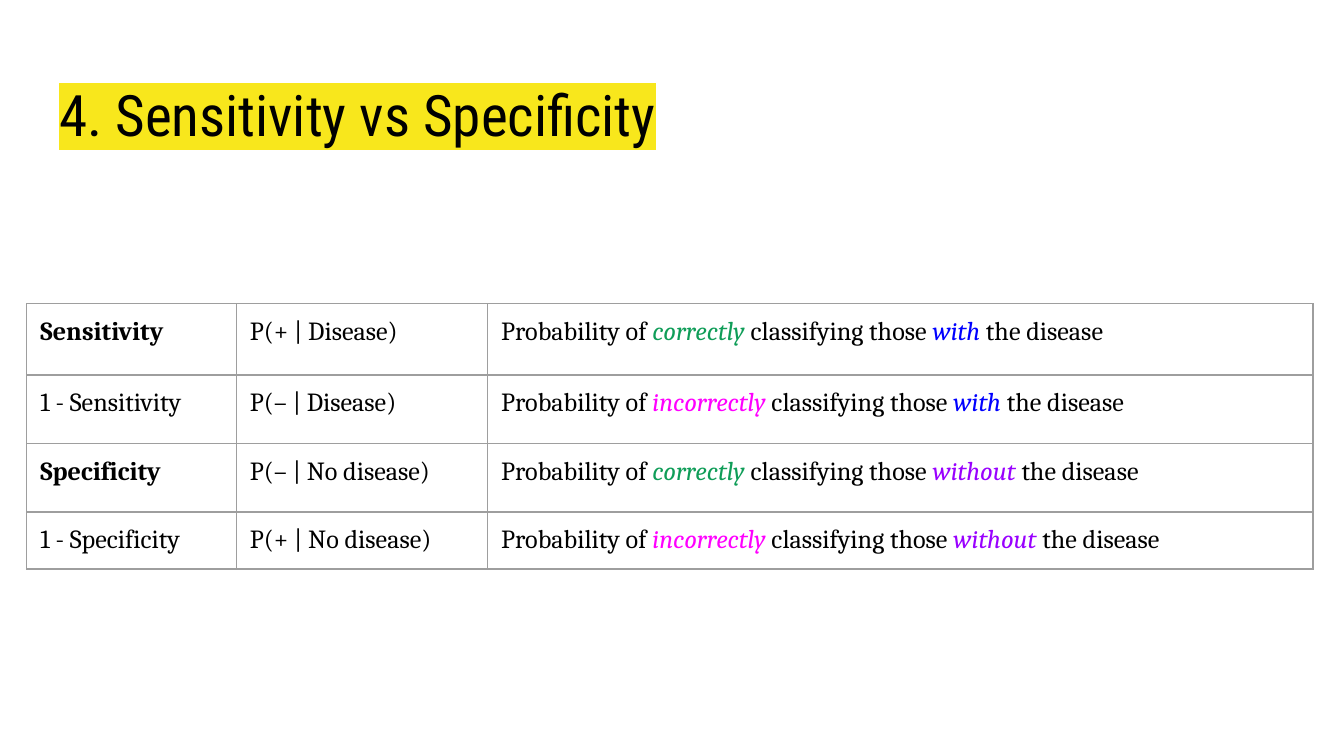
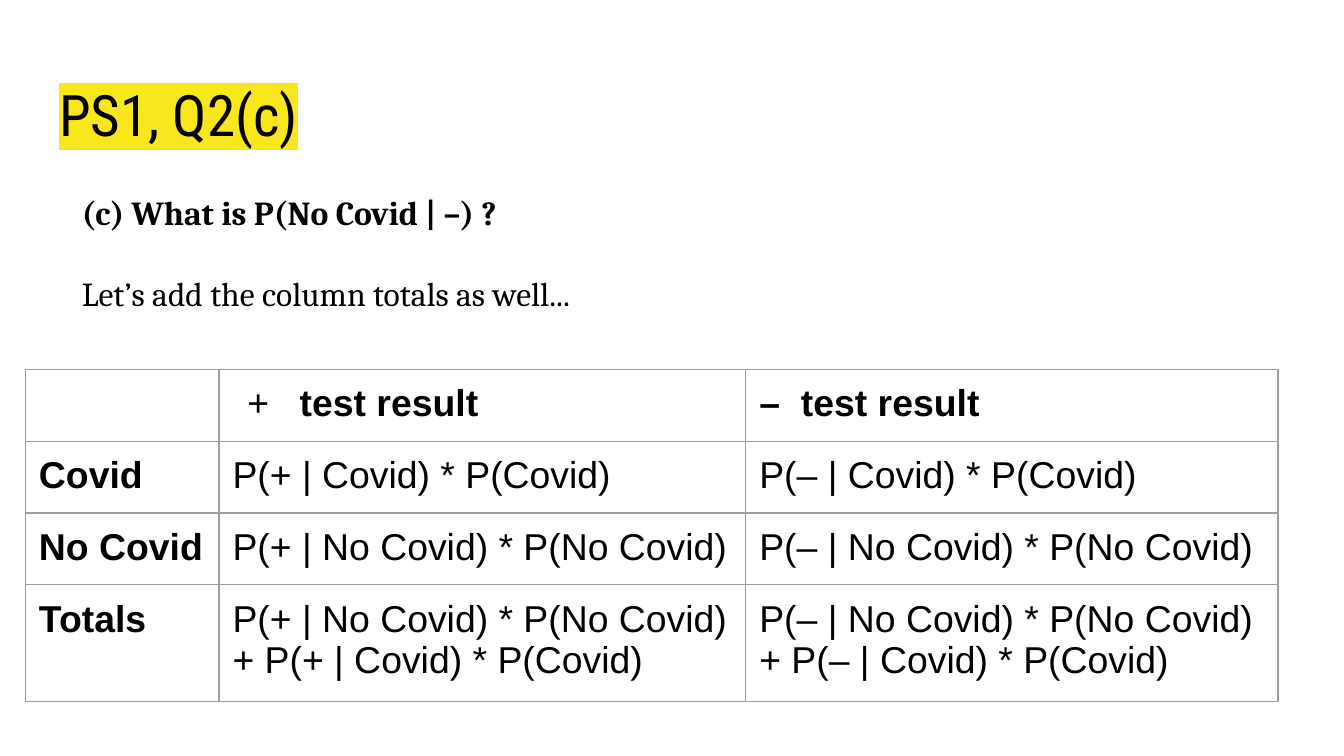
from lxml.etree import SubElement
from pptx import Presentation
from pptx.dml.color import RGBColor
from pptx.enum.text import MSO_ANCHOR, MSO_AUTO_SIZE, PP_ALIGN
from pptx.oxml import parse_xml
from pptx.oxml.ns import nsdecls, qn
from pptx.util import Inches, Pt

BLACK, YELLOW, GREY = "000000", "F8E71C", "9E9E9E"
ACCENTS = {"correctly": "0F9D58", "incorrectly": "FF00FF",
           "with": "0000FF", "without": "9900FF"}
TITLE_FONT, SERIF, SANS = "Roboto Condensed", "Cambria", "Arial"

RATES = [
    ("Sensitivity", "P(+ | Disease)", "correctly", "with"),
    ("1 - Sensitivity", "P(– | Disease)", "incorrectly", "with"),
    ("Specificity", "P(– | No disease)", "correctly", "without"),
    ("1 - Specificity", "P(+ | No disease)", "incorrectly", "without"),
]
QUESTION = [("(c) What is P(No Covid | –) ?", True, 0),
            ("Let’s add the column totals as well...", False, 21.4)]
SIGNS = ("+", "–")
JOINT_ROWS = [
    ("Covid", "P({0} | Covid) * P(Covid)"),
    ("No Covid", "P({0} | No Covid) * P(No Covid)"),
    ("Totals", "P({0} | No Covid) * P(No Covid) + P({0} | Covid) * P(Covid)"),
]


def rgb(hex_colour):
    return RGBColor.from_string(hex_colour)


def style(paragraph, font, size, bold=False):
    paragraph.font.name = font
    paragraph.font.size = Pt(size)
    paragraph.font.bold = bold
    paragraph.font.color.rgb = rgb(BLACK)


def set_margins(frame):
    frame.margin_left = frame.margin_right = Inches(0.1)
    frame.margin_top = frame.margin_bottom = Inches(0.1)


def add_titled_slide(deck, heading):
    slide = deck.slides.add_slide(deck.slide_layouts[5])
    title = slide.shapes.title
    title.left, title.top = Inches(0.34), Inches(0.49)
    title.width, title.height = Inches(9.32), Inches(0.63)
    frame = title.text_frame
    set_margins(frame)
    frame.auto_size = MSO_AUTO_SIZE.NONE
    frame.vertical_anchor = MSO_ANCHOR.TOP
    paragraph = frame.paragraphs[0]
    paragraph.alignment = PP_ALIGN.LEFT
    run = paragraph.add_run()
    run.text = heading
    style(paragraph, TITLE_FONT, 30.6)
    highlight = SubElement(run.font._element, qn("a:highlight"))
    SubElement(highlight, qn("a:srgbClr"), val=YELLOW)
    return slide


def add_grid(slide, left, top, widths, heights):
    table = slide.shapes.add_table(
        len(heights), len(widths), Inches(left), Inches(top),
        Inches(sum(widths)), Inches(sum(heights))).table
    table.first_row = table.horz_banding = False
    for column, width in zip(table.columns, widths):
        column.width = Inches(width)
    for row, height in zip(table.rows, heights):
        row.height = Inches(height)
    for cell in table.iter_cells():
        set_margins(cell)
        cell.fill.background()
        for index, side in enumerate("LRTB"):
            cell._tc.get_or_add_tcPr().insert(index, parse_xml(
                f'<a:ln{side} {nsdecls("a")} w="{Pt(0.75)}"><a:solidFill>'
                f'<a:srgbClr val="{GREY}"/></a:solidFill></a:ln{side}>'))
    return table


def fill_cell(cell, text, font, size, bold=False):
    paragraph = cell.text_frame.paragraphs[0]
    paragraph.add_run().text = text
    style(paragraph, font, size, bold)


def add_rates_slide(deck):
    slide = add_titled_slide(deck, "4. Sensitivity vs Specificity")
    table = add_grid(slide, 0.2, 2.26, [1.56, 1.87, 6.14], [0.53, 0.51, 0.51, 0.42])
    for row, (rate, formula, outcome, group) in enumerate(RATES):
        fill_cell(table.cell(row, 0), rate, SERIF, 14, not rate.startswith("1"))
        fill_cell(table.cell(row, 1), formula, SERIF, 14)
        meaning = table.cell(row, 2).text_frame.paragraphs[0]
        style(meaning, SERIF, 14)
        for part in ("Probability of ", outcome, " classifying those ", group, " the disease"):
            run = meaning.add_run()
            run.text = part
            if part in ACCENTS:
                run.font.italic = True
                run.font.color.rgb = rgb(ACCENTS[part])


def add_question(slide):
    box = slide.shapes.add_textbox(Inches(0.51), Inches(1.33), Inches(9.15), Inches(1.11))
    frame = box.text_frame
    frame.word_wrap = True
    set_margins(frame)
    for index, (line, bold, gap) in enumerate(QUESTION):
        paragraph = frame.add_paragraph() if index else frame.paragraphs[0]
        paragraph.add_run().text = line
        paragraph.space_before = Pt(gap)
        style(paragraph, SERIF, 18, bold)


def add_plus_bullet(paragraph):
    properties = paragraph._p.get_or_add_pPr()
    properties.set("marL", str(Inches(0.5)))
    properties.set("indent", str(Inches(-0.39)))
    colour = SubElement(properties, qn("a:buClr"))
    SubElement(colour, qn("a:srgbClr"), val=BLACK)
    SubElement(properties, qn("a:buFont"), typeface=SANS)
    SubElement(properties, qn("a:buChar"), char="+")


def add_tab_stop(paragraph, position):
    tabs = SubElement(paragraph._p.get_or_add_pPr(), qn("a:tabLst"))
    SubElement(tabs, qn("a:tab"), pos=str(Inches(position)), algn="l")


def add_totals_slide(deck):
    slide = add_titled_slide(deck, "PS1, Q2(c)")
    add_question(slide)
    table = add_grid(slide, 0.19, 2.75, [1.44, 3.92, 3.96], [0.53, 0.53, 0.53, 0.87])
    positive, negative = table.cell(0, 1), table.cell(0, 2)
    add_plus_bullet(positive.text_frame.paragraphs[0])
    fill_cell(positive, "test result", SANS, 20, True)
    add_tab_stop(negative.text_frame.paragraphs[0], 0.31)
    fill_cell(negative, "–\ttest result", SANS, 20, True)
    for row, (status, formula) in enumerate(JOINT_ROWS, 1):
        fill_cell(table.cell(row, 0), status, SANS, 20, True)
        for column, sign in enumerate(SIGNS, 1):
            fill_cell(table.cell(row, column), formula.format(sign), SANS, 20)


def main():
    deck = Presentation()
    deck.slide_width = Inches(10)
    deck.slide_height = deck.slide_width * 9 // 16
    add_rates_slide(deck)
    add_totals_slide(deck)
    deck.save("out.pptx")


if __name__ == "__main__":
    main()
